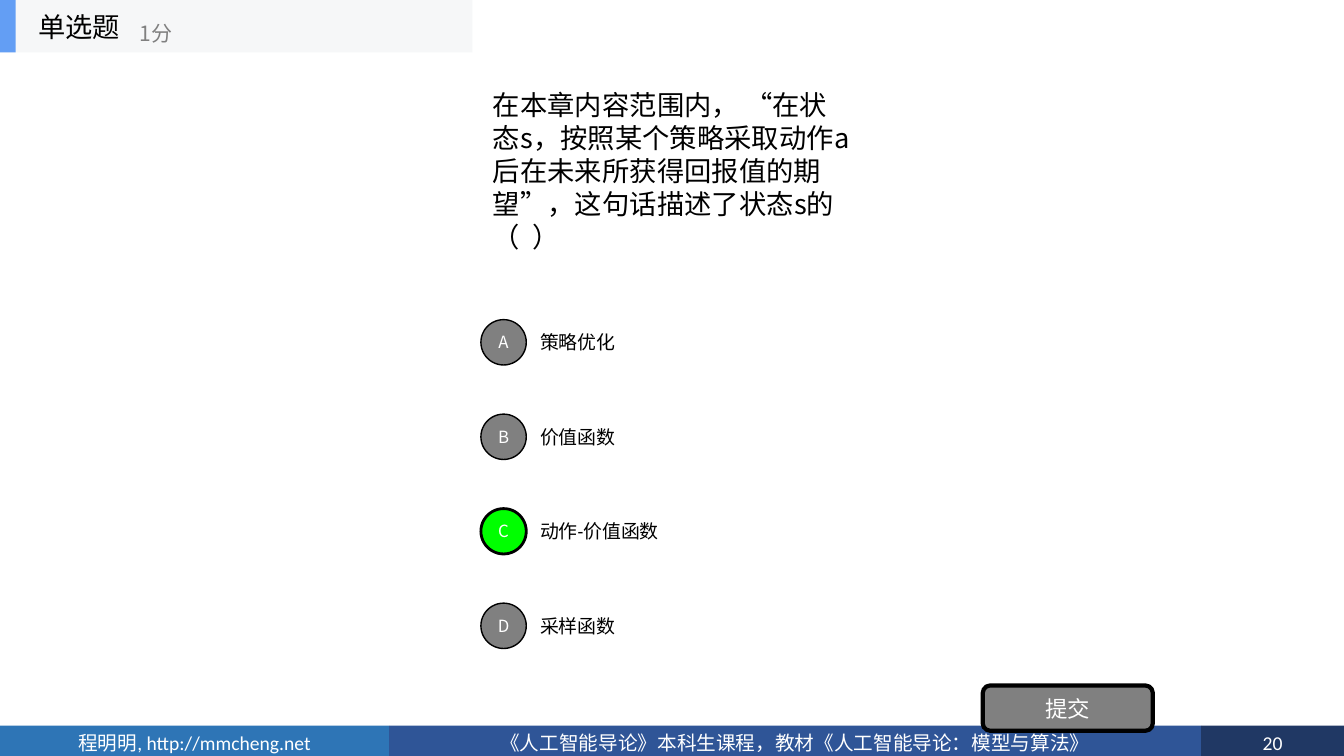
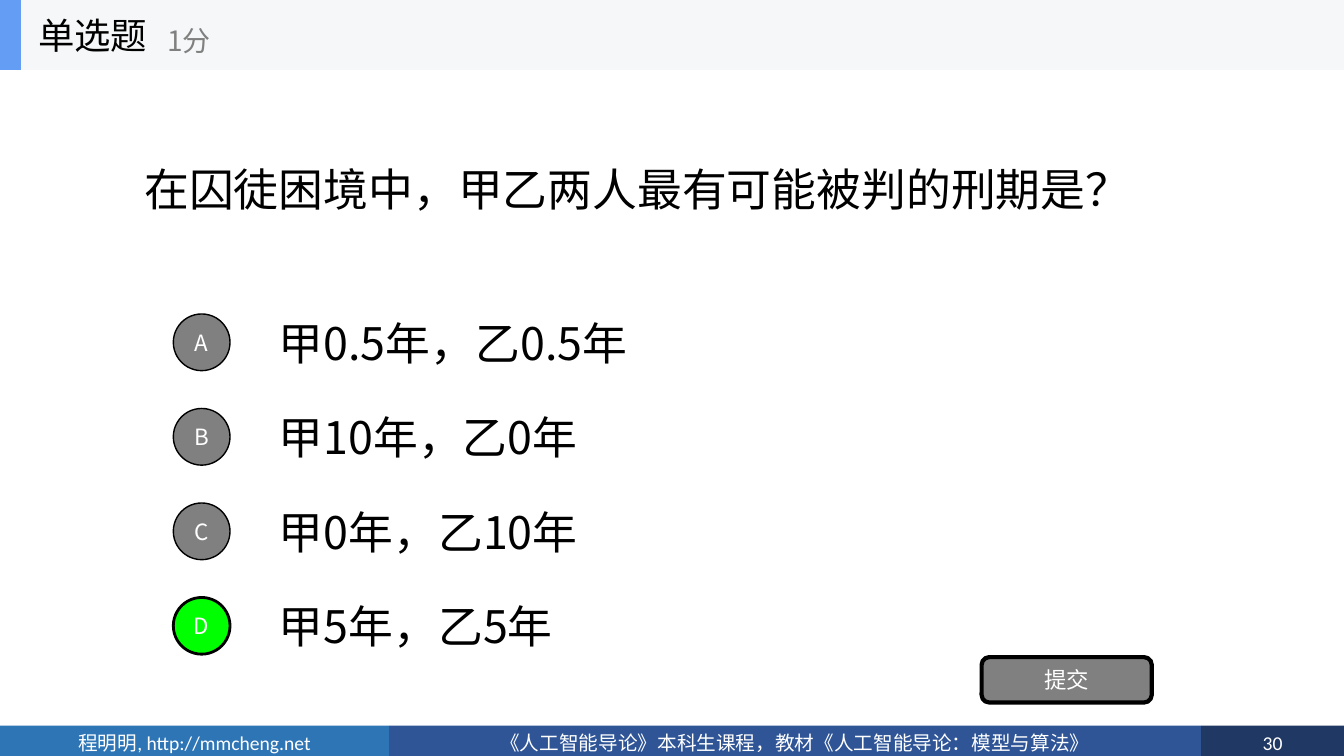
from dataclasses import dataclass

from pptx import Presentation
from pptx.dml.color import RGBColor as RGB
from pptx.enum.shapes import MSO_SHAPE as SHAPE
from pptx.enum.text import MSO_ANCHOR as ANCHOR, MSO_AUTO_SIZE as AUTO, PP_ALIGN as ALIGN
from pptx.oxml.ns import qn
from pptx.util import Pt


@dataclass(frozen=True)
class Theme:
    """Colours, fonts and type sizes shared by the slides."""
    ink: str = "000000"
    white: str = "FFFFFF"
    grey: str = "808080"
    correct: str = "00FF00"
    band: str = "F6F7F8"
    accent: str = "639EF4"
    foot_author: str = "2E75B6"
    foot_course: str = "2F5597"
    foot_page: str = "203864"
    latin: str = "Calibri"
    cjk: str = "Noto Sans CJK SC"
    foot_size: float = 14
    button_size: float = 16
    title_size: float = 26
    score_size: float = 20


T = Theme()
SLIDE_W, SLIDE_H = 960, 540
FOOT_H = 21.6
FOOTER = (
    ("程明明, http://mmcheng.net", 278, T.foot_author),
    ("《人工智能导论》本科生课程，教材《人工智能导论：模型与算法》", 580, T.foot_course),
)
OPTION_PITCH = 67.5
OPTION_H = 50.4


@dataclass(frozen=True)
class Quiz:
    """Content and measures of one question slide; boxes are left, top, width, height."""
    page: int
    question: str
    options: tuple
    answer: int
    header_w: float
    header_scale: float
    score_left: float
    question_box: tuple
    question_size: float
    options_box: tuple
    text_left: float
    option_size: float
    option_font: str
    ring: float
    ring_size: float
    button_box: tuple


QUIZZES = (
    Quiz(page=20,
         question="在本章内容范围内， “在状态s，按照某个策略采取动作a后在未来所获得回报值的期望”，"
                  "这句话描述了状态s的（  ）",
         options=("策略优化", "价值函数", "动作-价值函数", "采样函数"), answer=2,
         header_w=337.5, header_scale=0.75, score_left=92.75,
         question_box=(345, 37.5, 270, 168.75), question_size=19.5,
         options_box=(343.5, 219.3, 271.5, 253), text_left=35.25,
         option_size=13.5, option_font=T.latin, ring=32.4, ring_size=12,
         button_box=(702, 489.6, 121.5, 32.4)),
    Quiz(page=30,
         question="在囚徒困境中，甲乙两人最有可能被判的刑期是？",
         options=("甲0.5年，乙0.5年", "甲10年，乙0年", "甲0年，乙10年", "甲5年，乙5年"), answer=3,
         header_w=SLIDE_W, header_scale=1, score_left=112.25,
         question_box=(96, 50, 768, 168.75), question_size=32,
         options_box=(123.8, 219.3, 740.2, 253), text_left=68.2,
         option_size=32, option_font=T.cjk, ring=40.5, ring_size=16,
         button_box=(701.2, 469.4, 121.5, 32.4)),
)


def assign(obj, formats):
    for name, value in formats.items():
        setattr(obj, name, value)


def write(sp, text, size, color=T.ink, font=T.cjk, align=ALIGN.LEFT, **frame):
    """Put one formatted run into a shape."""
    tf = sp.text_frame
    assign(tf, {"word_wrap": True, "auto_size": AUTO.NONE,
                "vertical_anchor": ANCHOR.MIDDLE, **frame})
    p = tf.paragraphs[0]
    p.alignment = align
    r = p.add_run()
    r.text = text
    assign(r.font, {"size": Pt(size), "name": font})
    r.font.color.rgb = RGB.from_string(color)
    # East Asian glyphs need their own typeface element
    rpr = r.font._element
    rpr.set("lang", "zh-CN")
    ea = rpr.makeelement(qn("a:ea"), {"typeface": T.cjk})
    rpr.find(qn("a:latin")).addnext(ea)


def add_text(s, box, text, size, **formats):
    sp = s.shapes.add_textbox(*map(Pt, box))
    write(sp, text, size, **formats)


def add_panel(s, kind, box, fill, line=0):
    sp = s.shapes.add_shape(kind, *map(Pt, box))
    sp.shadow.inherit = False
    sp.fill.solid()
    sp.fill.fore_color.rgb = RGB.from_string(fill)
    if line:
        sp.line.width = Pt(line)
        sp.line.color.rgb = RGB.from_string(T.ink)
    else:
        sp.line.fill.background()
    return sp


def add_header(s, box, scale, score_left):
    left, top, width, height = box
    # Band with its accent edge
    add_panel(s, SHAPE.RECTANGLE, box, T.band)
    add_panel(s, SHAPE.RECTANGLE, (left, top, 15 * scale, height), T.accent)
    # Title, raised above the band
    title = s.shapes.title
    assign(title, {"left": Pt(left + 20), "top": Pt(top),
                   "width": Pt(150 * scale), "height": Pt(height)})
    write(title, "单选题", T.title_size * scale)
    title.element.getparent().append(title.element)
    # Score
    add_text(s, (left + score_left, top + 8.75, 180 * scale, 40 * scale),
             "1分", T.score_size * scale, color=T.grey)


def add_options(s, box, quiz):
    left, top, width, _ = box
    for i, option in enumerate(quiz.options):
        row_top = top + i * OPTION_PITCH
        is_answer = i == quiz.answer
        # Lettered ring
        ring_box = (left, row_top + (OPTION_H - quiz.ring) / 2, quiz.ring, quiz.ring)
        ring = add_panel(s, SHAPE.OVAL, ring_box, T.correct if is_answer else T.grey,
                         line=2 if is_answer else 1)
        write(ring, "ABCD"[i], quiz.ring_size, color=T.white, align=ALIGN.CENTER,
              margin_left=0, margin_right=0, margin_top=0, margin_bottom=0)
        # Option text
        add_text(s, (left + quiz.text_left, row_top, width - quiz.text_left, OPTION_H),
                 option, quiz.option_size, font=quiz.option_font)


def add_button(s, box):
    sp = add_panel(s, SHAPE.ROUNDED_RECTANGLE, box, T.grey, line=3)
    write(sp, "提交", T.button_size, color=T.white, align=ALIGN.CENTER)


def add_footer(s, box, page):
    left, top, width, height = box
    right = left + width
    page_w = width - sum(w for _, w, _ in FOOTER)
    for text, w, fill in (*FOOTER, (str(page), page_w, T.foot_page)):
        sp = add_panel(s, SHAPE.RECTANGLE, (left, top, min(w, right - left), height), fill)
        write(sp, text, T.foot_size, color=T.white, font=T.latin,
              align=ALIGN.CENTER, vertical_anchor=ANCHOR.TOP)
        left += w


def add_quiz_slide(prs, quiz):
    s = prs.slides.add_slide(prs.slide_layouts[5])
    add_footer(s, (0, SLIDE_H - FOOT_H, SLIDE_W, FOOT_H), quiz.page)
    add_text(s, quiz.question_box, quiz.question, quiz.question_size)
    add_options(s, quiz.options_box, quiz)
    add_button(s, quiz.button_box)
    add_header(s, (0, 0, quiz.header_w, 50 * quiz.header_scale),
               quiz.header_scale, quiz.score_left)


def main():
    prs = Presentation()
    assign(prs, {"slide_width": Pt(SLIDE_W), "slide_height": Pt(SLIDE_H)})
    for quiz in QUIZZES:
        add_quiz_slide(prs, quiz)
    prs.save("out.pptx")


if __name__ == "__main__":
    main()
